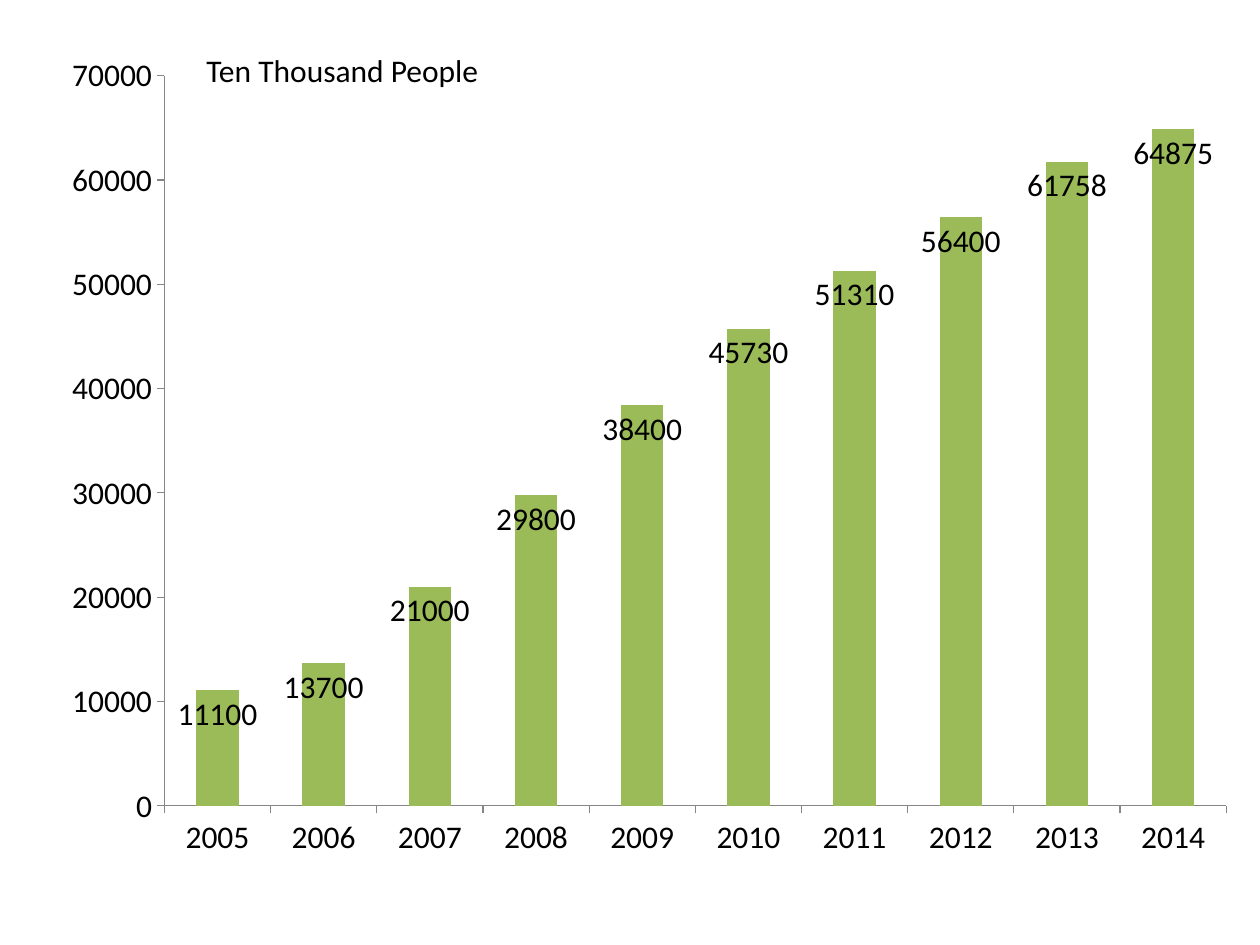
from dataclasses import dataclass

from lxml.etree import SubElement
from pptx import Presentation
from pptx.chart.chart import Chart
from pptx.chart.data import CategoryChartData
from pptx.dml.color import RGBColor
from pptx.enum.chart import XL_CHART_TYPE, XL_LABEL_POSITION, XL_TICK_MARK
from pptx.enum.text import MSO_AUTO_SIZE
from pptx.oxml.ns import qn
from pptx.slide import Slide
from pptx.util import Inches, Pt


@dataclass(frozen=True)
class Theme:
    """Colours and type of the slide."""
    font: str = "Calibri"
    size: Pt = Pt(18)
    ink: RGBColor = RGBColor(0, 0, 0)
    bar: RGBColor = RGBColor(0x9B, 0xBB, 0x59)
    axis: RGBColor = RGBColor(0x86, 0x86, 0x86)


THEME = Theme()
FIRST_YEAR = 2005
PEOPLE = (11100, 13700, 21000, 29800, 38400, 45730, 51310, 56400, 61758, 64875)
PLOT_AREA = {"x": 0.115, "y": 0.043, "w": 0.877, "h": 0.804}


def style_font(font) -> None:
    """Apply the theme's type to a font."""
    font.name, font.size = THEME.font, THEME.size
    font.color.rgb = THEME.ink


def fix_plot_area(chart: Chart) -> None:
    """Set the inner plot area as fractions of the chart."""
    plot_area = chart.plots[0]._element.getparent()
    layout = plot_area.find(qn("c:layout"))
    if layout is None:
        layout = SubElement(plot_area, qn("c:layout"))
        plot_area.insert(0, layout)
    manual = SubElement(layout, qn("c:manualLayout"))
    settings = {"layoutTarget": "inner", "xMode": "edge", "yMode": "edge", **PLOT_AREA}
    for tag, value in settings.items():
        SubElement(manual, qn(f"c:{tag}")).set("val", str(value))


def add_people_chart(slide: Slide) -> None:
    """Draw the yearly column chart."""
    yearly = CategoryChartData(number_format="General")
    yearly.categories = [str(FIRST_YEAR + step) for step in range(len(PEOPLE))]
    yearly.add_series("Series 1", PEOPLE)
    chart = slide.shapes.add_chart(
        XL_CHART_TYPE.COLUMN_STACKED, Inches(0.2), Inches(0.29),
        Inches(9.61), Inches(7.21), yearly).chart
    chart.has_legend = chart.has_title = False
    style_font(chart.font)
    fix_plot_area(chart)

    for axis in (chart.category_axis, chart.value_axis):
        axis.has_major_gridlines = False
        axis.major_tick_mark = XL_TICK_MARK.OUTSIDE
        axis.minor_tick_mark = XL_TICK_MARK.NONE
        axis.format.line.color.rgb = THEME.axis
        axis.format.line.width = Pt(0.75)
    chart.value_axis.minimum_scale = 0
    chart.value_axis.maximum_scale = 70000
    chart.value_axis.major_unit = 10000

    columns = chart.plots[0]
    columns.vary_by_categories = False
    columns.gap_width, columns.overlap = 150, 100
    bars = columns.series[0]
    bars.format.fill.solid()
    bars.format.fill.fore_color.rgb = THEME.bar
    labels = bars.data_labels
    labels.show_value = True
    labels.position = XL_LABEL_POSITION.INSIDE_END
    style_font(labels.font)


def add_unit_label(slide: Slide) -> None:
    """Write the unit of the value axis."""
    frame = slide.shapes.add_textbox(
        Inches(1.54), Inches(0.36), Inches(2.39), Inches(0.4)).text_frame
    frame.word_wrap = False
    frame.auto_size = MSO_AUTO_SIZE.SHAPE_TO_FIT_TEXT
    frame.text = "Ten Thousand People"
    style_font(frame.paragraphs[0].runs[0].font)


def main() -> None:
    """Build and save the slide."""
    deck = Presentation()
    deck.slide_width, deck.slide_height = Inches(10), Inches(7.5)
    slide = deck.slides.add_slide(deck.slide_layouts.get_by_name("Blank"))
    add_people_chart(slide)
    add_unit_label(slide)
    deck.save("out.pptx")


main()
